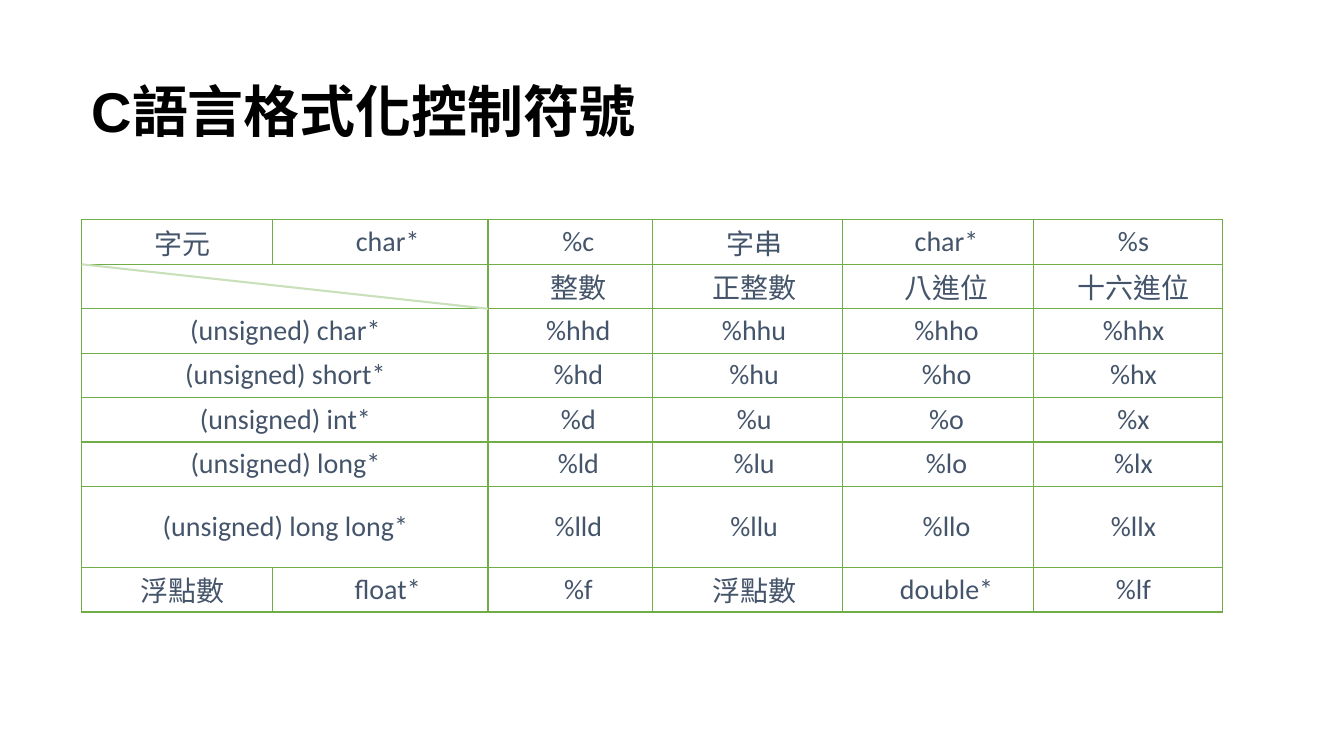
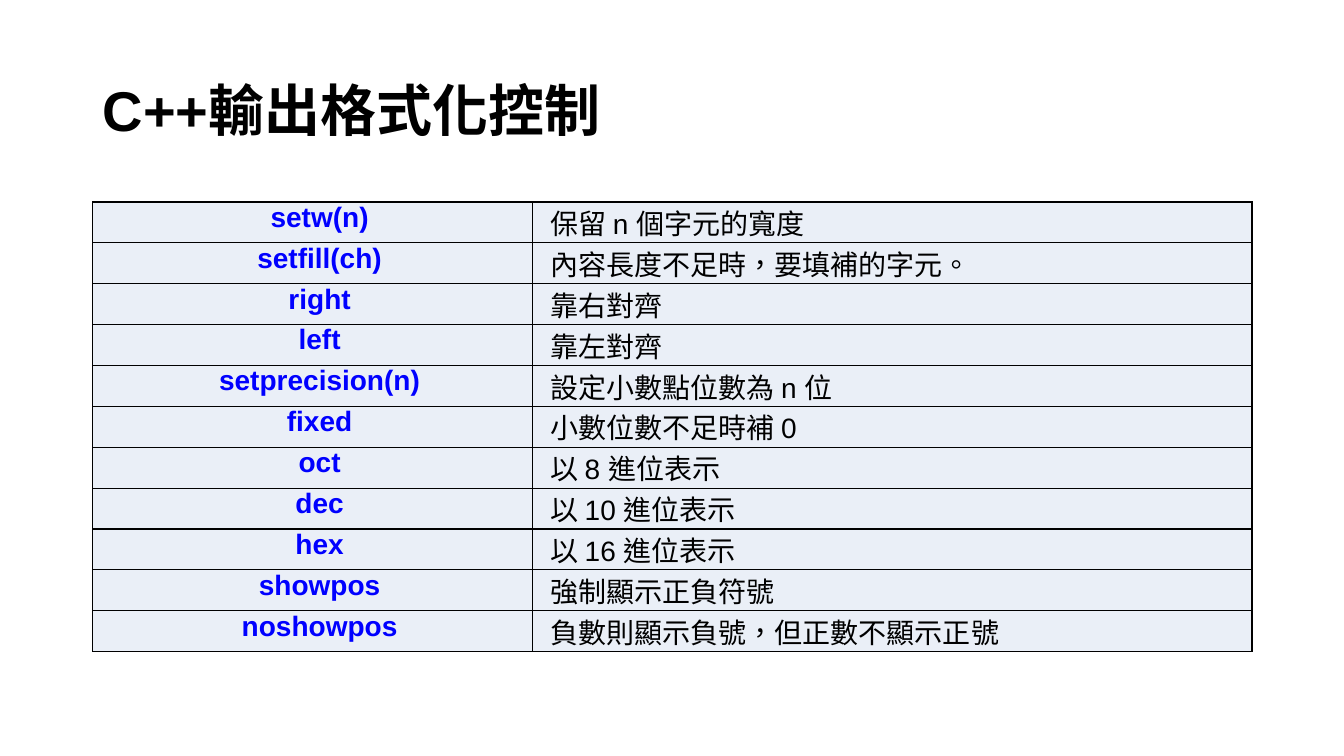
from lxml import etree
from pptx import Presentation
from pptx.dml import color
from pptx.enum import shapes, text
from pptx.oxml import ns
from pptx.util import Cm, Pt

# Content: None continues the merged cell on its left
SPECIFIERS = [
    ("字元", "char*", "%c", "字串", "char*", "%s"),
    ("", None, "整數", "正整數", "八進位", "十六進位"),
    ("(unsigned) char*", None, "%hhd", "%hhu", "%hho", "%hhx"),
    ("(unsigned) short*", None, "%hd", "%hu", "%ho", "%hx"),
    ("(unsigned) int*", None, "%d", "%u", "%o", "%x"),
    ("(unsigned) long*", None, "%ld", "%lu", "%lo", "%lx"),
    ("(unsigned) long long*", None, "%lld", "%llu", "%llo", "%llx"),
    ("浮點數", "float*", "%f", "浮點數", "double*", "%lf"),
]
MANIPULATORS = [
    ("setw(n)", "保留 n 個字元的寬度"),
    ("setfill(ch)", "內容長度不足時，要填補的字元。"),
    ("right", "靠右對齊"),
    ("left", "靠左對齊"),
    ("setprecision(n)", "設定小數點位數為 n 位"),
    ("fixed", "小數位數不足時補 0"),
    ("oct", "以 8 進位表示"),
    ("dec", "以 10 進位表示"),
    ("hex", "以 16 進位表示"),
    ("showpos", "強制顯示正負符號"),
    ("noshowpos", "負數則顯示負號，但正數不顯示正號"),
]

# Shared look
BLACK, SLATE, BLUE = "000000", "44546A", "0000FF"
GREEN, PALE_GREEN, PALE_BLUE = "70AD47", "C9E0BA", "EAEFF7"
CENTER, LEFT = text.PP_ALIGN.CENTER, text.PP_ALIGN.LEFT
MIDDLE, TOP = text.MSO_ANCHOR.MIDDLE, text.MSO_ANCHOR.TOP

deck = Presentation()
deck.slide_width, deck.slide_height = Cm(33.87), Cm(19.05)


def rgb(value):
    return color.RGBColor.from_string(value)


def write(paragraph, words, font, size, tint, bold=False):
    run = paragraph.add_run()
    run.text = words
    run.font.name, run.font.size, run.font.bold = font, Pt(size), bold
    run.font.color.rgb = rgb(tint)
    run._r.get_or_add_rPr().set("lang", "zh-TW")


def add_titled_slide(words, left, top, width, height):
    slide = deck.slides.add_slide(deck.slide_layouts[6])
    frame = slide.shapes.add_textbox(Cm(left), Cm(top), Cm(width), Cm(height)).text_frame
    frame.word_wrap = True
    frame.vertical_anchor = MIDDLE
    frame.paragraphs[0].line_spacing = 0.9
    write(frame.paragraphs[0], words, "Arial", 40, BLACK, True)
    return slide


def add_borders(cell, tint):
    properties = cell._tc.get_or_add_tcPr()
    for side in ("a:lnL", "a:lnR", "a:lnT", "a:lnB"):
        edge = etree.SubElement(properties, ns.qn(side), w=str(Pt(1)))
        fill = etree.SubElement(edge, ns.qn("a:solidFill"))
        etree.SubElement(fill, ns.qn("a:srgbClr"), val=tint)


def add_grid(slide, rows, left, top, widths, heights, columns, font, border,
             anchor, fill=None, merged_indent=0):
    """columns holds (alignment, first-line indent, colour, bold) for each column."""
    table = slide.shapes.add_table(len(rows), len(widths), Cm(left), Cm(top),
                                   Cm(sum(widths)), Cm(sum(heights))).table
    table.first_row = table.horz_banding = False
    for column, width in zip(table.columns, widths):
        column.width = Cm(width)
    for row, height in zip(table.rows, heights):
        row.height = Cm(height)
    for r, row in enumerate(rows):
        for c, (words, look) in enumerate(zip(row, columns)):
            cell = table.cell(r, c)
            add_borders(cell, border)
            if fill:
                cell.fill.solid()
                cell.fill.fore_color.rgb = rgb(fill)
            else:
                cell.fill.background()
            cell.margin_left = cell.margin_right = Cm(0.1)
            cell.margin_top = cell.margin_bottom = 0
            cell.vertical_anchor = anchor
            if words is None:
                table.cell(r, c - 1).merge(cell)
            elif words:
                align, indent, tint, bold = look
                if None in row[c + 1:c + 2]:
                    indent = merged_indent
                paragraph = cell.text_frame.paragraphs[0]
                paragraph.alignment = align
                paragraph._p.get_or_add_pPr().set("indent", str(Cm(indent)))
                write(paragraph, words, font, 20, tint, bold)


# Slide 1: format specifiers, with a diagonal through the empty merged cell
left, top = 2.06, 5.54
widths = [4.8, 5.44, 4.14, 4.8, 4.8, 4.77]
heights = [1.12] * 6 + [2.04, 1.12]
indents = [0.28, 0.38, 0.41, 0.33, 0.43, 0.28]
specifiers = add_titled_slide("C語言格式化控制符號", left, 1.07, sum(widths), 3.63)
add_grid(specifiers, SPECIFIERS, left, top, widths, heights,
         [(CENTER, indent, SLATE, False) for indent in indents],
         "Calibri", GREEN, MIDDLE, merged_indent=0.03)
diagonal = specifiers.shapes.add_connector(
    shapes.MSO_CONNECTOR.STRAIGHT, Cm(left), Cm(top + heights[0]),
    Cm(left + sum(widths[:2])), Cm(top + sum(heights[:2])))
diagonal.line.color.rgb = rgb(PALE_GREEN)
diagonal.line.width = Pt(1.5)
etree.SubElement(diagonal._element.spPr, ns.qn("a:effectLst"))

# Slide 2: stream manipulators
left, widths = 2.34, [11.07, 18.14]
manipulators = add_titled_slide("C++輸出格式化控制", left, 1.01, sum(widths), 3.68)
add_grid(manipulators, MANIPULATORS, left, 5.09, widths, [1.03] * len(MANIPULATORS),
         [(CENTER, 0.36, BLUE, True), (LEFT, 0.36, BLACK, False)],
         "Arial", BLACK, TOP, PALE_BLUE)

deck.save("out.pptx")
